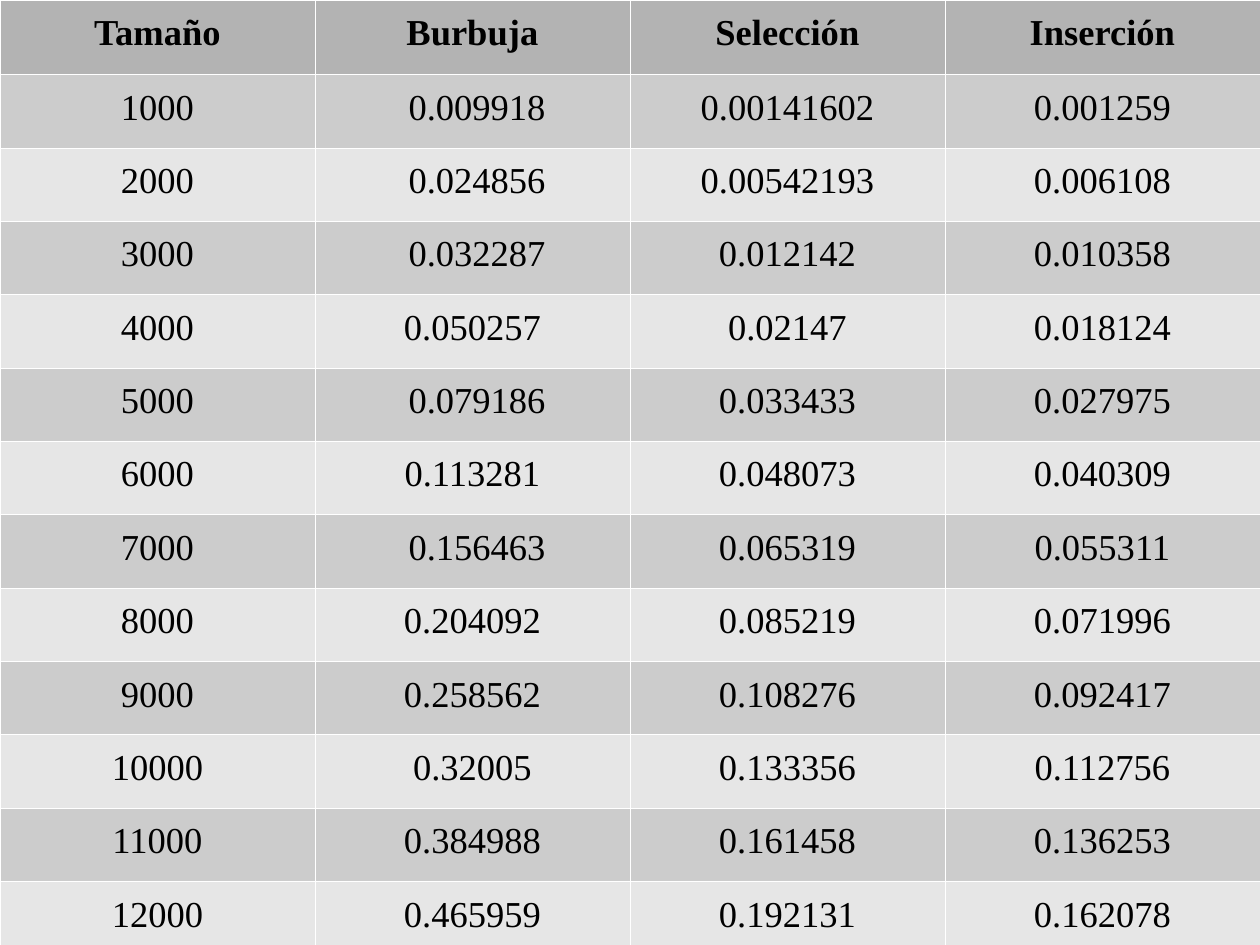
from lxml.etree import SubElement
from pptx import Presentation
from pptx.dml.color import RGBColor
from pptx.enum.text import PP_ALIGN as Align
from pptx.oxml.ns import qn
from pptx.util import Cm, Inches, Pt

WIDTH, HEIGHT = Cm(28), Cm(21)
HEAD_ROW, BODY_ROW = Cm(1.65), Cm(1.63)
HEAD_FILL, BANDS = "B3B3B3", ("CCCCCC", "E6E6E6")

HEADS = ["Tamaño", "Burbuja", "Selección", "Inserción"]
TIMES = [
    ["0.009918", "0.00141602", "0.001259"],
    ["0.024856", "0.00542193", "0.006108"],
    ["0.032287", "0.012142", "0.010358"],
    ["0.050257", "0.02147", "0.018124"],
    ["0.079186", "0.033433", "0.027975"],
    ["0.113281", "0.048073", "0.040309"],
    ["0.156463", "0.065319", "0.055311"],
    ["0.204092", "0.085219", "0.071996"],
    ["0.258562", "0.108276", "0.092417"],
    ["0.32005", "0.133356", "0.112756"],
    ["0.384988", "0.161458", "0.136253"],
    ["0.465959", "0.192131", "0.162078"],
]
# Rows whose Burbuja time sits slightly right of centre
SHIFTED = {1, 2, 3, 5, 7}


def color(code):
    return RGBColor.from_string(code)


def write(frame, text, size=23, bold=False, ink="000000"):
    para = frame.paragraphs[0]
    para.alignment = Align.CENTER
    para.line_spacing = 1.19
    run = para.add_run()
    run.text = text
    font = run.font
    font.name, font.size, font.bold = "Times New Roman", Pt(size), bold
    font.color.rgb = color(ink)


def border(cell, code="FFFFFF", width=0.06):
    props = cell._tc.get_or_add_tcPr()
    for at, side in enumerate(("lnL", "lnR", "lnT", "lnB")):
        line = SubElement(props, qn(f"a:{side}"), w=str(Pt(width)))
        fill = SubElement(line, qn("a:solidFill"))
        SubElement(fill, qn("a:srgbClr"), val=code)
        props.insert(at, line)  # borders precede the cell fill


def paint(cell, text, fill, bold=False, shift=0):
    cell.margin_left = Inches(0.1 + shift)
    cell.margin_right = Inches(0.1)
    cell.margin_top = cell.margin_bottom = Inches(0.05)
    cell.fill.solid()
    cell.fill.fore_color.rgb = color(fill)
    border(cell)
    write(cell.text_frame, text, bold=bold)


def grid(slide, rows):
    high = HEAD_ROW + BODY_ROW * (len(rows) - 1)
    cols = len(rows[0])
    table = slide.shapes.add_table(len(rows), cols, 0, 0, WIDTH, high).table
    for col in table.columns:
        col.width = WIDTH // cols
    for r, row in enumerate(rows):
        head = r == 0
        table.rows[r].height = HEAD_ROW if head else BODY_ROW
        fill = HEAD_FILL if head else BANDS[(r - 1) % 2]
        for c, text in enumerate(row):
            shift = 0.08 if c == 1 and r in SHIFTED else 0
            paint(table.cell(r, c), text, fill, bold=head, shift=shift)


def main():
    deck = Presentation()
    deck.slide_width, deck.slide_height = WIDTH, HEIGHT
    slide = deck.slides.add_slide(deck.slide_layouts[6])

    # Sorting times by input size
    body = [[str(n * 1000), *times] for n, times in enumerate(TIMES, 1)]
    grid(slide, [HEADS, *body])
    deck.save("out.pptx")


if __name__ == "__main__":
    main()
